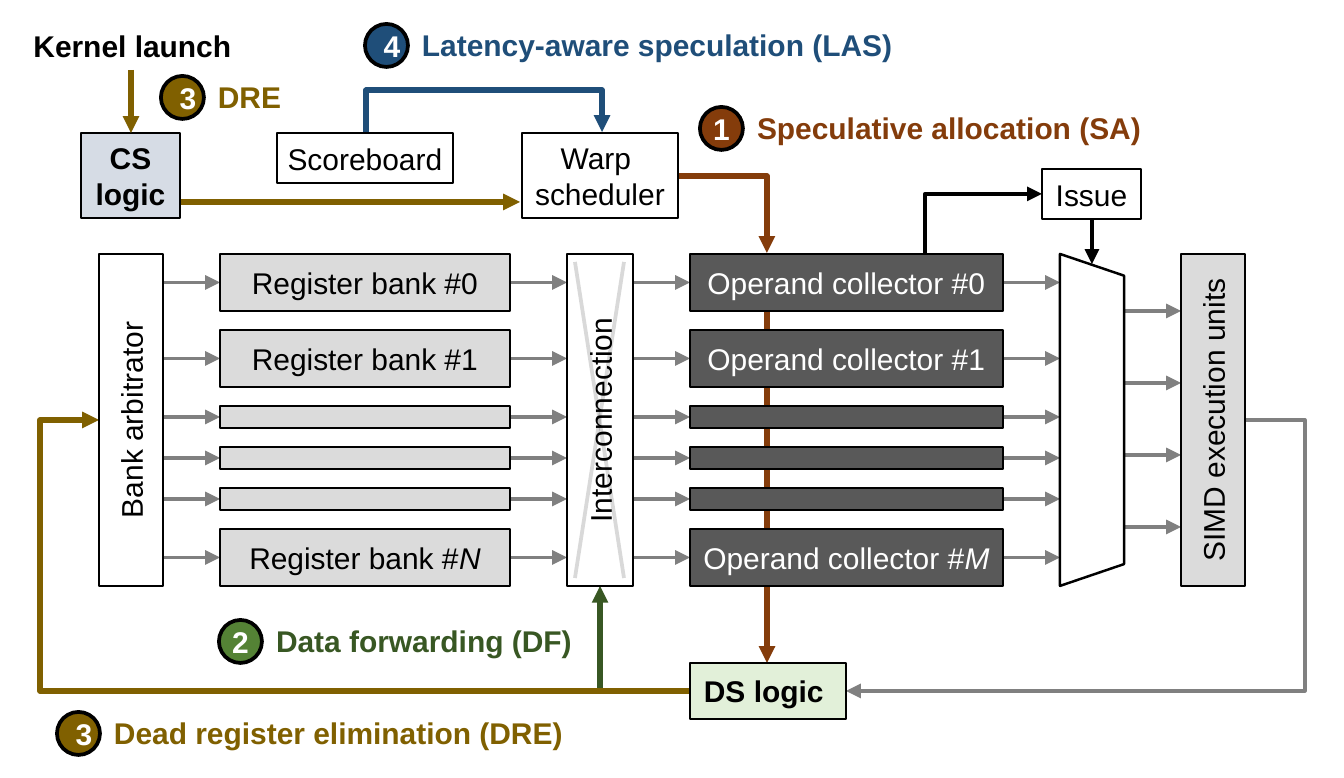
import pptx
import pptx.util
import pptx.dml.color
import pptx.enum.shapes
import pptx.enum.text
import pptx.oxml
import pptx.oxml.ns

SCALE = 5088
KIND = pptx.enum.shapes.MSO_SHAPE
LINK = pptx.enum.shapes.MSO_CONNECTOR
ALIGN = pptx.enum.text.PP_ALIGN
ANCHOR = pptx.enum.text.MSO_ANCHOR
BLACK, WHITE, GREY, PALE, DARK = "000000", "FFFFFF", "808080", "DBDBDB", "595959"
RUST, GREEN, GOLD, BLUE = "843C0B", "385723", "806000", "1F4E79"


def px(*vals):
    return [pptx.util.Emu(round(val * SCALE)) for val in vals]


def rgb(code):
    return pptx.dml.color.RGBColor.from_string(code)


def put(item, vals):
    for key, val in vals.items():
        setattr(item, key, val)


def add(parent, tag, **attrs):
    node = pptx.oxml.parse_xml(f"<a:{tag} {pptx.oxml.ns.nsdecls('a')}/>")
    for key, val in attrs.items():
        node.set(key, str(val))
    parent.append(node)
    return node


class Board:
    """Holds the text style and the slide, and draws each kind of element."""

    def __init__(self, slide):
        self.shapes = slide.shapes
        self.font = {"name": "Arial", "size": pptx.util.Pt(12)}

    def label(self, shape, text, color=BLACK, bold=False, tail="",
              pads=(0, 9, 0, 9), align=ALIGN.CENTER, anchor=ANCHOR.MIDDLE):
        frame = shape.text_frame
        sides = ("margin_left", "margin_top", "margin_right", "margin_bottom")
        put(frame, dict(zip(sides, px(*pads))))
        put(frame, {"word_wrap": True, "vertical_anchor": anchor, "text": text})
        if tail:
            frame.paragraphs[0].add_run().text = tail
        for par in frame.paragraphs:
            par.alignment = align
            for run in par.runs:
                put(run.font, {**self.font, "bold": bold})
                run.font.color.rgb = rgb(color)
        if tail:
            run.font.italic = True

    def box(self, x, y, w, h, text="", fill=None, turn=0, kind=KIND.RECTANGLE,
            edge=1, **style):
        if turn:
            x, y, w, h = x + (w - h) / 2, y + (h - w) / 2, h, w
        shape = self.shapes.add_shape(kind, *px(x, y, w, h))
        shape.rotation = turn
        shape.shadow.inherit = False
        if fill:
            shape.fill.solid()
            shape.fill.fore_color.rgb = rgb(fill)
        else:
            shape.fill.background()
        if edge:
            shape.line.color.rgb = rgb(BLACK)
            shape.line.width = pptx.util.Pt(edge)
        else:
            shape.line.fill.background()
        if text:
            self.label(shape, text, **style)
        return shape

    def line(self, x, y, x2, y2, color=GREY, width=1.5, head=True, alpha=None,
             kind=LINK.STRAIGHT):
        link = self.shapes.add_connector(kind, *px(x, y, x2, y2))
        link.line.color.rgb = rgb(color)
        link.line.width = pptx.util.Pt(width)
        props = link.element.spPr
        edge = props.find(pptx.oxml.ns.qn("a:ln"))
        if alpha:
            add(edge[0][0], "alpha", val=alpha * 1000)
        if head:
            add(edge, "tailEnd", type="triangle")
        add(props, "effectLst")
        return props

    def bend(self, x, y, w, h, color, width=2.25, turn=0, flips=(), shift=None):
        props = self.line(x, y, x + w, y + h, color, width, kind=LINK.ELBOW)
        frame = props.find(pptx.oxml.ns.qn("a:xfrm"))
        frame.set("rot", str(turn * 60000))
        for flip in flips:
            frame.set(flip, "1")
        shape = props.find(pptx.oxml.ns.qn("a:prstGeom"))
        if shift is None:
            shape.set("prst", "bentConnector2")
            return
        for old in list(shape):
            shape.remove(old)
        add(add(shape, "avLst"), "gd", name="adj1",
            fmla=f"val {round(shift * 100000)}")

    def mark(self, x, y, num, text, width, color, fill=None, pads=(18, 9, 18, 9)):
        self.box(x, y, 43, 43, num, fill or color, kind=KIND.OVAL, edge=1.5,
                 color=WHITE, bold=True, pads=pads)
        note = self.shapes.add_textbox(*px(x + 43, y + 3, width, 36))
        self.label(note, text, color, True, pads=(14, 0, 0, 0),
                   align=ALIGN.LEFT, anchor=ANCHOR.TOP)


deck = pptx.Presentation()
deck.slide_width, deck.slide_height = px(1344, 778)
board = Board(deck.slides.add_slide(deck.slide_layouts[6]))

TOP, TALL, GAP = 254, 332, 19
rows, y = [], TOP
for high, ends in [(57, ("0", "")), (57, ("1", "")), (22, None), (22, None),
                   (22, None), (57, ("", "NM"))]:
    rows.append((y, high, ends))
    y += high + GAP

board.line(767, TOP, 767, 663, RUST, 2.25)
board.line(600, 691, 600, 586, GREEN, 2.25)
board.bend(846, 420, 399, 271, GREY, 1.5, flips=["flipH"], shift=-0.15)
board.bend(678, 176, 89, 77, RUST)
board.bend(954, 165, 59, 117, BLACK, 1.5, 90, ["flipH", "flipV"])
board.bend(99, 420, 591, 271, GOLD, turn=180, shift=1.1)
board.bend(483, 15, 2, 236, BLUE, turn=90, flips=["flipH", "flipV"], shift=22)

for y, high, ends in rows:
    mid = y + high / 2
    for x in (163, 510, 633, 1003):
        board.line(x, mid, x + 57, mid)
    for i, (x, wide, name, fill, color) in enumerate([
            (220, 290, "Register bank #", PALE, BLACK),
            (690, 313, "Operand collector #", DARK, WHITE)]):
        text = name + ends[0] if ends else ""
        tail = ends[1][i:i + 1] if ends else ""
        board.box(x, y, wide, high, text, fill, color=color, tail=tail)
for i in range(4):
    board.line(1124, 311 + 72 * i, 1181, 311 + 72 * i)

board.box(1042, 169, 99, 50, "Issue")
board.box(277, 133, 176, 50, "Scoreboard")
board.box(522, 133, 156, 85, "Warp \vscheduler")
board.box(81, 133, 99, 85, "CS\nlogic", "D6DCE5", bold=True)
board.box(690, 663, 156, 56, "DS logic ", "E2F0D9", bold=True)
board.box(23, 20, 219, 50, "Kernel launch", edge=0, bold=True)
board.line(1092, 219, 1092, 264, BLACK)
board.line(181, 202, 520, 202, GOLD, 2.25)
board.line(131, 70, 131, 133, GOLD, 2.25)

for x, wide, text, fill in [(99, 64, "Bank arbitrator", WHITE),
                            (567, 66, "Interconnection", WHITE),
                            (1181, 64, "SIMD execution units", PALE)]:
    board.box(x, TOP, wide, TALL, text, fill, 270)
mux = board.box(1060, TOP, 64, TALL, turn=90, kind=KIND.TRAPEZOID)
mux.adjustments[0] = 0.34
for x, x2 in [(575, 624), (624, 575)]:
    board.line(x, 262, x2, 578, BLACK, head=False, alpha=15)

flat = (0, 0, 0, 0)
board.mark(700, 107, "1", "Speculative allocation (SA)", 446, RUST, pads=flat)
board.mark(219, 620, "2", "Data forwarding (DF)", 323, GREEN, "548235", flat)
board.mark(161, 76, "3", "DRE", 90, GOLD)
board.mark(365, 24, "4", "Latency-aware speculation (LAS)", 490, BLUE)
board.mark(57, 712, "3", "Dead register elimination (DRE)", 485, GOLD)

deck.save("out.pptx")
